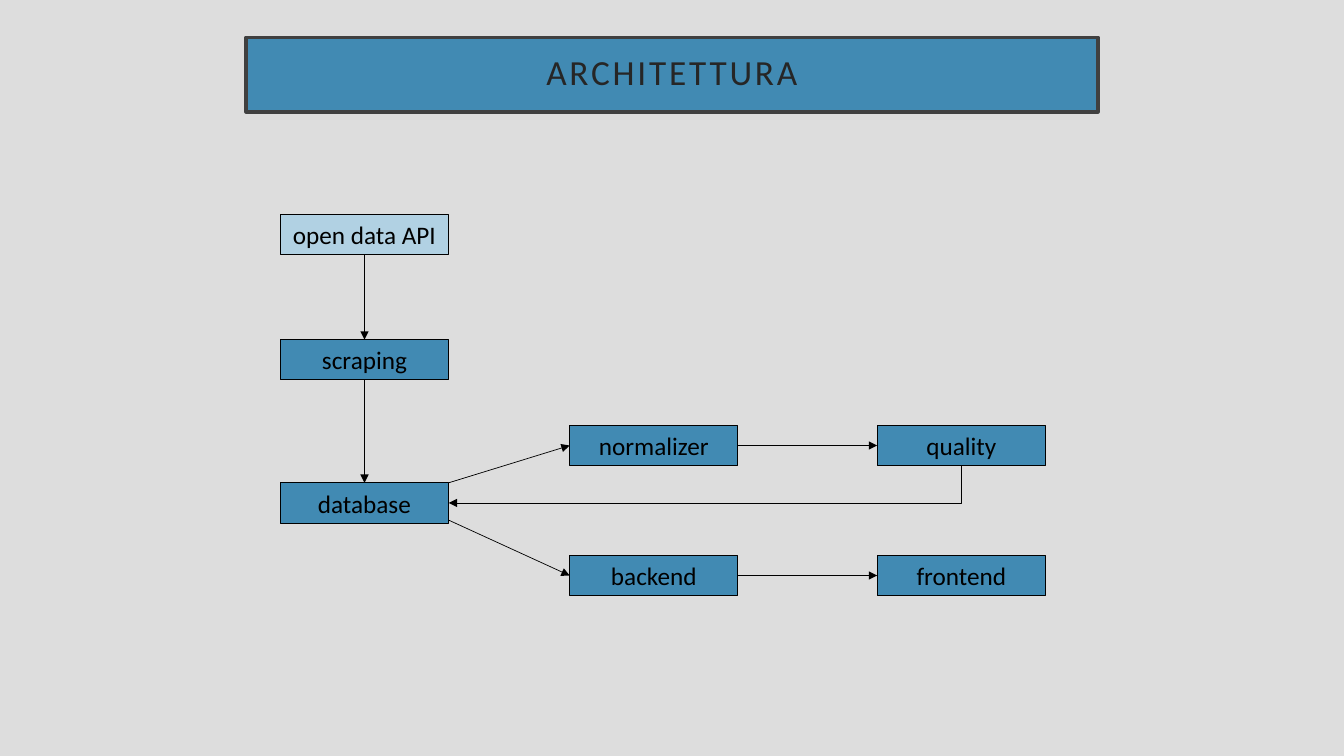
"""Builds the architecture slide: a title bar and a flow of connected components."""
from lxml import etree
from pptx import Presentation
from pptx.dml.color import RGBColor
from pptx.enum import shapes, text
from pptx.oxml import ns
from pptx.util import Inches, Pt

BACKGROUND = RGBColor(0xDD, 0xDD, 0xDD)
BLUE = RGBColor(0x41, 0x8A, 0xB3)
PALE_BLUE = RGBColor(0xB1, 0xD1, 0xE3)
BLACK = RGBColor(0x00, 0x00, 0x00)
TITLE_LINE = RGBColor(0x40, 0x40, 0x40)
TITLE_TEXT = RGBColor(0x26, 0x26, 0x26)

BOX_WIDTH, BOX_HEIGHT = 1.67, 0.4
LEFT, MIDDLE, RIGHT = 2.78, 5.65, 8.7
TOP_SIDE, LEFT_SIDE, BOTTOM_SIDE, RIGHT_SIDE = range(4)

COMPONENTS = [
    ("open data API", LEFT, 2.13, PALE_BLUE),
    ("scraping", LEFT, 3.37, BLUE),
    ("database", LEFT, 4.79, BLUE),
    ("quality", RIGHT, 4.22, BLUE),
    ("backend", MIDDLE, 5.51, BLUE),
    ("frontend", RIGHT, 5.51, BLUE),
    ("normalizer", MIDDLE, 4.22, BLUE),
]
FLOWS = [
    ("open data API", BOTTOM_SIDE, "scraping", TOP_SIDE),
    ("scraping", BOTTOM_SIDE, "database", TOP_SIDE),
    ("backend", RIGHT_SIDE, "frontend", LEFT_SIDE),
    ("normalizer", RIGHT_SIDE, "quality", LEFT_SIDE),
]
DATABASE_OUTPUTS = [("normalizer", 4.79), ("backend", 5.16)]


def add_box(page, label, left, top, width, height, fill, line, line_width, size, color):
    """Add a filled rectangle with one centred line of text."""
    box = page.shapes.add_shape(shapes.MSO_SHAPE.RECTANGLE, Inches(left), Inches(top),
                                Inches(width), Inches(height))
    box.shadow.inherit = False
    box.fill.solid()
    box.fill.fore_color.rgb = fill
    box.line.color.rgb = line
    box.line.width = Pt(line_width)
    frame = box.text_frame
    frame.word_wrap = True
    frame.vertical_anchor = text.MSO_ANCHOR.MIDDLE
    para = frame.paragraphs[0]
    para.text = label
    para.alignment = text.PP_ALIGN.CENTER
    para.font.name = "Calibri"
    para.font.size = Pt(size)
    para.font.color.rgb = color
    return box


def add_title(page, label):
    """Add the title bar with widely spaced letters."""
    box = add_box(page, label, 2.44, 0.37, 8.45, 0.74, BLUE, TITLE_LINE, 2.5, 25.2, TITLE_TEXT)
    frame = box.text_frame
    frame.margin_left = frame.margin_right = Inches(0.2)
    frame.margin_top = frame.margin_bottom = Inches(0.2)
    para = frame.paragraphs[0]
    para.line_spacing = 0.9
    para.runs[0].font._element.set("spc", "200")


def add_component(page, label, left, top, fill):
    """Add one component box that fits its text."""
    box = add_box(page, label, left, top, BOX_WIDTH, BOX_HEIGHT, fill, BLACK, 0.75, 18, BLACK)
    box.text_frame.auto_size = text.MSO_AUTO_SIZE.SHAPE_TO_FIT_TEXT
    return box


def add_arrow(page, kind=shapes.MSO_CONNECTOR.STRAIGHT, start=(0, 0)):
    """Add a thin black connector with a triangle at its end."""
    arrow = page.shapes.add_connector(kind, Inches(start[0]), Inches(start[1]), 0, 0)
    arrow.line.color.rgb = BLACK
    arrow.line.width = Pt(0.5)
    etree.SubElement(arrow.line._get_or_add_ln(), ns.qn("a:tailEnd"), type="triangle")
    etree.SubElement(arrow._element.spPr, ns.qn("a:effectLst"))
    return arrow


def add_return_arrow(page, source, target):
    """Add a one-bend arrow from below the source to the right of the target."""
    arrow = add_arrow(page, shapes.MSO_CONNECTOR.ELBOW)
    arrow.begin_connect(source, BOTTOM_SIDE)
    arrow.end_connect(target, RIGHT_SIDE)
    across = abs(arrow.end_x - arrow.begin_x)
    down = abs(arrow.end_y - arrow.begin_y)
    center_x = (arrow.begin_x + arrow.end_x) // 2
    center_y = (arrow.begin_y + arrow.end_y) // 2
    arrow.left, arrow.top = center_x - down // 2, center_y - across // 2
    arrow.width, arrow.height = down, across
    properties = arrow._element.spPr
    frame = properties.find(ns.qn("a:xfrm"))
    for flip in ("flipH", "flipV"):
        frame.attrib.pop(flip, None)
    frame.set("rot", str(90 * 60000))
    properties.find(ns.qn("a:prstGeom")).set("prst", "bentConnector2")


def main():
    """Build and save the slide."""
    deck = Presentation()
    deck.slide_width, deck.slide_height = Inches(13.33), Inches(7.5)
    page = deck.slides.add_slide(deck.slide_layouts[6])
    page.background.fill.solid()
    page.background.fill.fore_color.rgb = BACKGROUND
    add_title(page, "ARCHITETTURA")
    boxes = {label: add_component(page, label, left, top, fill)
             for label, left, top, fill in COMPONENTS}
    for source, source_side, target, target_side in FLOWS:
        arrow = add_arrow(page)
        arrow.begin_connect(boxes[source], source_side)
        arrow.end_connect(boxes[target], target_side)
    for target, start_y in DATABASE_OUTPUTS:
        arrow = add_arrow(page, start=(LEFT + BOX_WIDTH, start_y))
        arrow.end_connect(boxes[target], LEFT_SIDE)
    add_return_arrow(page, boxes["quality"], boxes["database"])
    deck.save("out.pptx")


if __name__ == "__main__":
    main()
